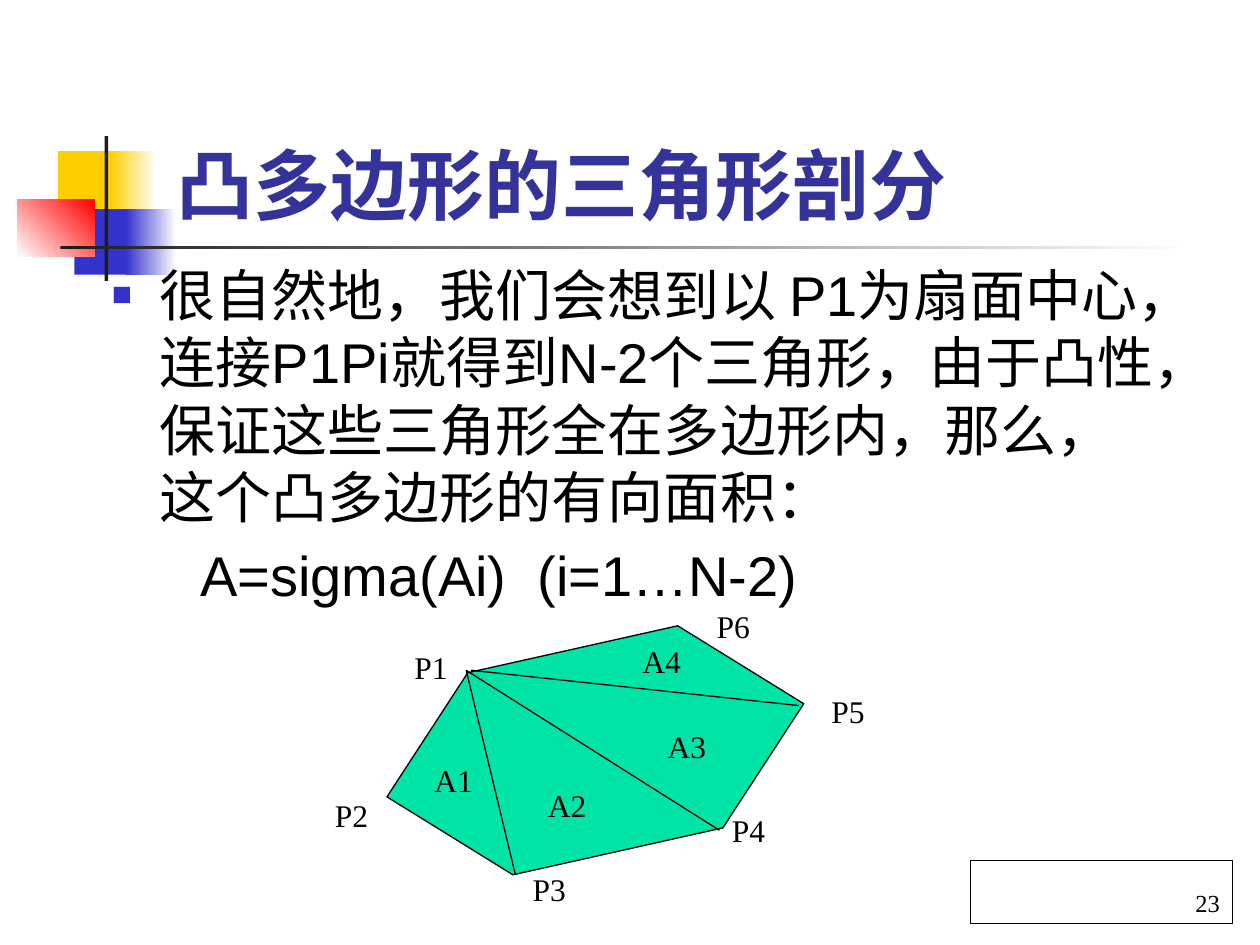
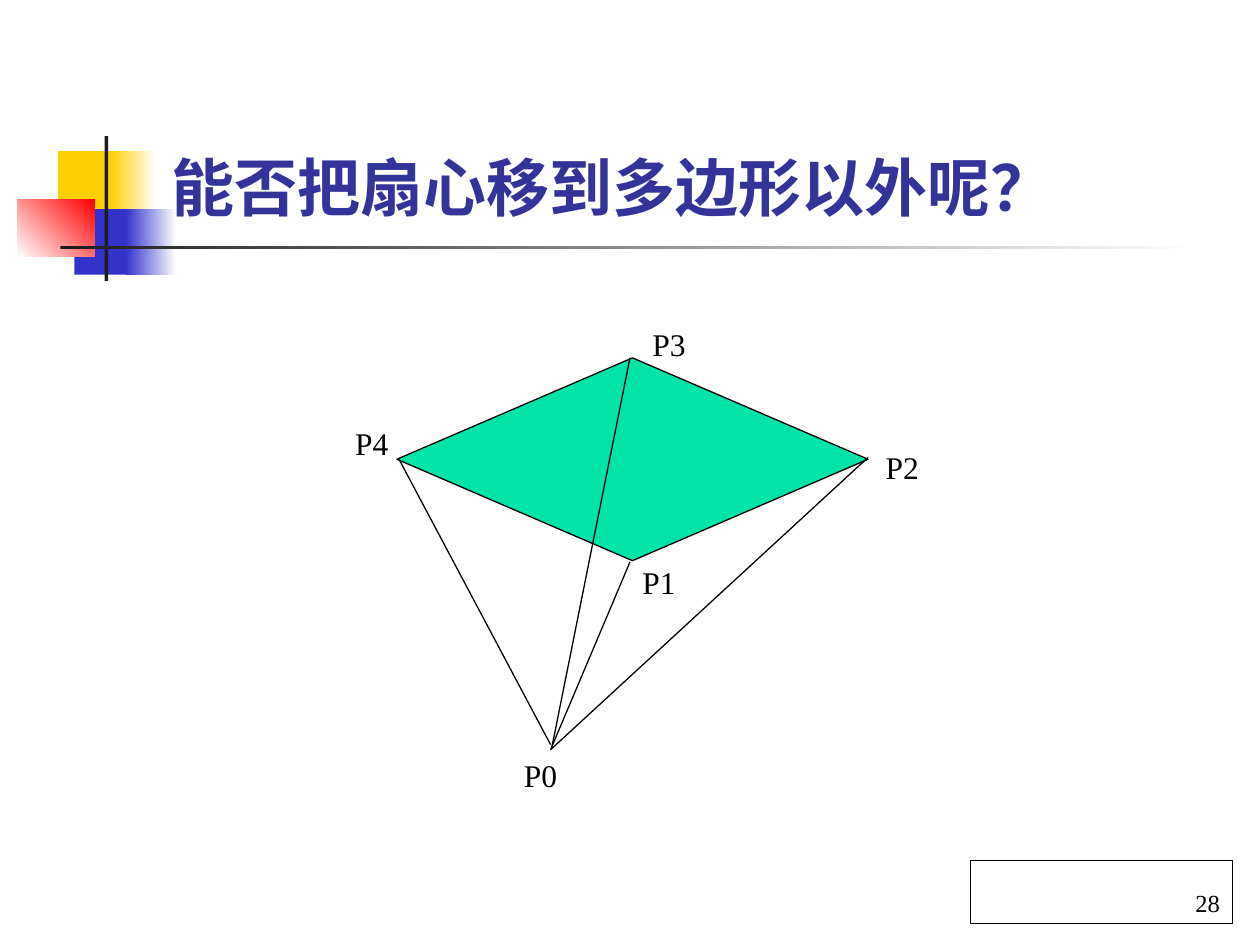
from dataclasses import dataclass
from typing import NamedTuple, Optional

from lxml.etree import SubElement
from pptx import Presentation
from pptx.dml.color import RGBColor
from pptx.enum.shapes import MSO_CONNECTOR, MSO_SHAPE
from pptx.enum.text import MSO_ANCHOR, MSO_AUTO_SIZE, PP_ALIGN
from pptx.oxml.ns import qn
from pptx.util import Inches, Pt


@dataclass(frozen=True)
class Theme:
    white: str = "FFFFFF"
    ink: str = "000000"
    charcoal: str = "1C1C1C"
    yellow: str = "FFCF01"
    blue: str = "3333CC"
    red: str = "FF0000"
    title: str = "333399"
    polygon: str = "00E4A8"
    sans: str = "Arial"
    serif: str = "Times New Roman"
    title_size: int = 44
    long_title_size: int = 36
    body_size: int = 32
    label_size: int = 18
    number_size: int = 14
    outline: float = 0.75


THEME = Theme()


class Box(NamedTuple):
    left: float
    top: float
    width: float
    height: float

    def lengths(self) -> list:
        return [Inches(value) for value in self]


class Point(NamedTuple):
    x: float
    y: float


class Band(NamedTuple):
    box: Box
    start: str
    end: Optional[str] = None
    angle: int = 0


class Label(NamedTuple):
    text: str
    left: float
    top: float


class Ray(NamedTuple):
    start: Point
    end: Point


class Polygon(NamedTuple):
    preset: MSO_SHAPE
    box: Box
    rotation: float = 0
    adjustments: tuple = ()


class Figure(NamedTuple):
    polygon: Polygon
    rays: list
    labels: list
    label_width: float


BANDS = [
    Band(Box(0.46, 1.2, 0.48, 0.52), THEME.yellow),
    Band(Box(0.88, 1.2, 0.36, 0.52), THEME.yellow, THEME.white),
    Band(Box(0.59, 1.66, 0.46, 0.52), THEME.blue),
    Band(Box(1, 1.66, 0.4, 0.52), THEME.blue, THEME.white),
    Band(Box(0.14, 1.58, 0.61, 0.46), THEME.white, THEME.red, 45),
    Band(Box(0.83, 1.08, 0.03, 1.15), THEME.charcoal),
    Band(Box(0.48, 1.95, 9, 0.03), THEME.charcoal, THEME.white),
]
NUMBER_BOX = Box(7.7, 6.83, 2.08, 0.5)
LABEL_HEIGHT = 0.4

BODY_BOX = Box(0.79, 2.02, 8.5, 2.73)
BODY_INDENT = 0.38
FORMULA_INDENT = 0.7
EXPLANATION = (
    "很自然地，我们会想到以 P1为扇面中心，连接P1Pi就得到N-2个三角形，"
    "由于凸性，保证这些三角形全在多边形内，那么，这个凸多边形的有向面积："
)
FORMULA = "A=sigma(Ai)  (i=1…N-2)"

INNER_FAN = Figure(
    Polygon(MSO_SHAPE.HEXAGON, Box(3.03, 5.13, 3.39, 1.65), 347.4, (0.51, 1.15)),
    [
        Ray(Point(3.7, 5.32), Point(4.09, 6.94)),
        Ray(Point(3.7, 5.32), Point(5.71, 6.59)),
        Ray(Point(3.74, 5.32), Point(6.34, 5.6)),
    ],
    [
        Label("P1", 3.19, 5.09),
        Label("P2", 2.56, 6.27),
        Label("P3", 4.13, 6.86),
        Label("P4", 5.71, 6.39),
        Label("P5", 6.5, 5.44),
        Label("P6", 5.59, 4.77),
        Label("A1", 3.35, 5.99),
        Label("A2", 4.25, 6.19),
        Label("A3", 5.2, 5.72),
        Label("A4", 5, 5.05),
    ],
    0.63,
)
OUTER_FAN = Figure(
    Polygon(MSO_SHAPE.DIAMOND, Box(3.15, 2.84, 3.74, 1.61)),
    [
        Ray(Point(4.37, 5.95), Point(6.89, 3.63)),
        Ray(Point(4.37, 5.95), Point(5, 4.46)),
        Ray(Point(4.38, 5.93), Point(5, 2.84)),
        Ray(Point(3.17, 3.65), Point(4.37, 5.91)),
    ],
    [
        Label("P0", 4.06, 5.95),
        Label("P1", 5, 4.42),
        Label("P2", 6.93, 3.51),
        Label("P3", 5.08, 2.53),
        Label("P4", 2.72, 3.32),
    ],
    0.59,
)


def color(code: str) -> RGBColor:
    return RGBColor.from_string(code)


def style_runs(frame, size: float, font: str, code: str, bold: bool = False) -> None:
    for paragraph in frame.paragraphs:
        for run in paragraph.runs:
            run.font.size = Pt(size)
            run.font.name = font
            run.font.bold = bold
            run.font.color.rgb = color(code)


def add_text(shapes, box: Box, text: str):
    frame = shapes.add_textbox(*box.lengths()).text_frame
    frame.word_wrap = True
    frame.text = text
    return frame


def add_solid(shapes, preset: MSO_SHAPE, box: Box, fill: str, outlined: bool):
    solid = shapes.add_shape(preset, *box.lengths())
    solid.shadow.inherit = False
    solid.fill.solid()
    solid.fill.fore_color.rgb = color(fill)
    if outlined:
        solid.line.color.rgb = color(THEME.ink)
        solid.line.width = Pt(THEME.outline)
    else:
        solid.line.fill.background()
    return solid


def add_band(shapes, band: Band) -> None:
    strip = add_solid(shapes, MSO_SHAPE.RECTANGLE, band.box, band.start, False)
    if band.end:
        strip.fill.gradient()
        strip.fill.gradient_angle = band.angle
        for stop, code in zip(strip.fill.gradient_stops, (band.start, band.end)):
            stop.color.rgb = color(code)


def add_page_number(shapes, number: int) -> None:
    frame = add_solid(
        shapes, MSO_SHAPE.RECTANGLE, NUMBER_BOX, THEME.white, True
    ).text_frame
    frame.text = str(number)
    frame.vertical_anchor = MSO_ANCHOR.BOTTOM
    frame.paragraphs[0].alignment = PP_ALIGN.RIGHT
    style_runs(frame, THEME.number_size, THEME.serif, THEME.ink)


def add_base_slide(deck, title: str, title_box: Box, title_size: int, number: int):
    slide = deck.slides.add_slide(deck.slide_layouts[6])
    for band in BANDS:
        add_band(slide.shapes, band)
    heading = add_text(slide.shapes, title_box, title)
    heading.vertical_anchor = MSO_ANCHOR.BOTTOM
    style_runs(heading, title_size, THEME.sans, THEME.title, True)
    add_page_number(slide.shapes, number)
    return slide


def add_ray(shapes, ray: Ray) -> None:
    ends = [Inches(value) for point in ray for value in point]
    segment = shapes.add_connector(MSO_CONNECTOR.STRAIGHT, *ends)
    segment.line.color.rgb = color(THEME.ink)
    segment.line.width = Pt(THEME.outline)
    SubElement(segment._element.spPr, qn("a:effectLst"))


def add_figure(slide, figure: Figure) -> None:
    shapes = slide.shapes.add_group_shape().shapes
    polygon = figure.polygon
    area = add_solid(shapes, polygon.preset, polygon.box, THEME.polygon, True)
    area.rotation = polygon.rotation
    for index, value in enumerate(polygon.adjustments):
        area.adjustments[index] = value
    for ray in figure.rays:
        add_ray(shapes, ray)
    for label in figure.labels:
        box = Box(label.left, label.top, figure.label_width, LABEL_HEIGHT)
        frame = add_text(shapes, box, label.text)
        frame.auto_size = MSO_AUTO_SIZE.SHAPE_TO_FIT_TEXT
        style_runs(frame, THEME.label_size, THEME.serif, THEME.ink)


def add_bullet(paragraph) -> None:
    properties = paragraph._p.get_or_add_pPr()
    properties.set("marL", str(Inches(BODY_INDENT)))
    properties.set("indent", str(-Inches(BODY_INDENT)))
    tint = SubElement(properties, qn("a:buClr"))
    SubElement(tint, qn("a:srgbClr"), val=THEME.blue)
    SubElement(properties, qn("a:buSzPct"), val="60000")
    SubElement(properties, qn("a:buFont"), typeface=THEME.sans)
    SubElement(properties, qn("a:buChar"), char="■")


def add_explanation(slide) -> None:
    frame = add_text(slide.shapes, BODY_BOX, EXPLANATION)
    add_bullet(frame.paragraphs[0])
    formula = frame.add_paragraph()
    formula.text = FORMULA
    formula.space_before = Pt(THEME.body_size * 0.2)
    formula._p.get_or_add_pPr().set("marL", str(Inches(FORMULA_INDENT)))
    style_runs(frame, THEME.body_size, THEME.sans, THEME.ink)


def main() -> None:
    deck = Presentation()
    deck.slide_width = Inches(10)
    deck.slide_height = Inches(7.5)

    triangulation = add_base_slide(
        deck, "凸多边形的三角形剖分", Box(1.3, 0.6, 7.01, 1.27), THEME.title_size, 23
    )
    add_explanation(triangulation)
    add_figure(triangulation, INNER_FAN)

    outside_center = add_base_slide(
        deck,
        "能否把扇心移到多边形以外呢？",
        Box(1.26, 1.07, 8.11, 0.76),
        THEME.long_title_size,
        28,
    )
    add_figure(outside_center, OUTER_FAN)

    deck.save("out.pptx")


if __name__ == "__main__":
    main()
